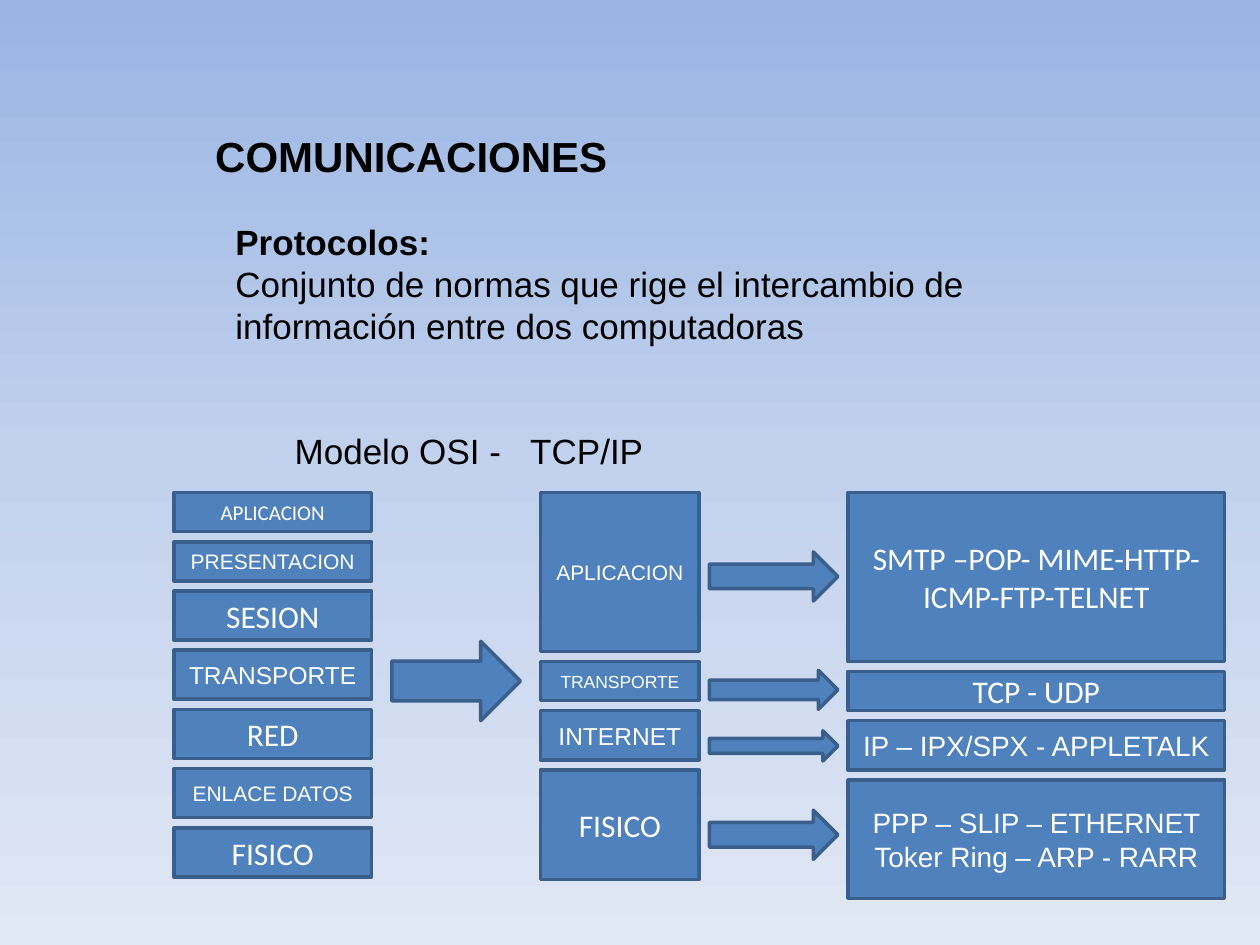
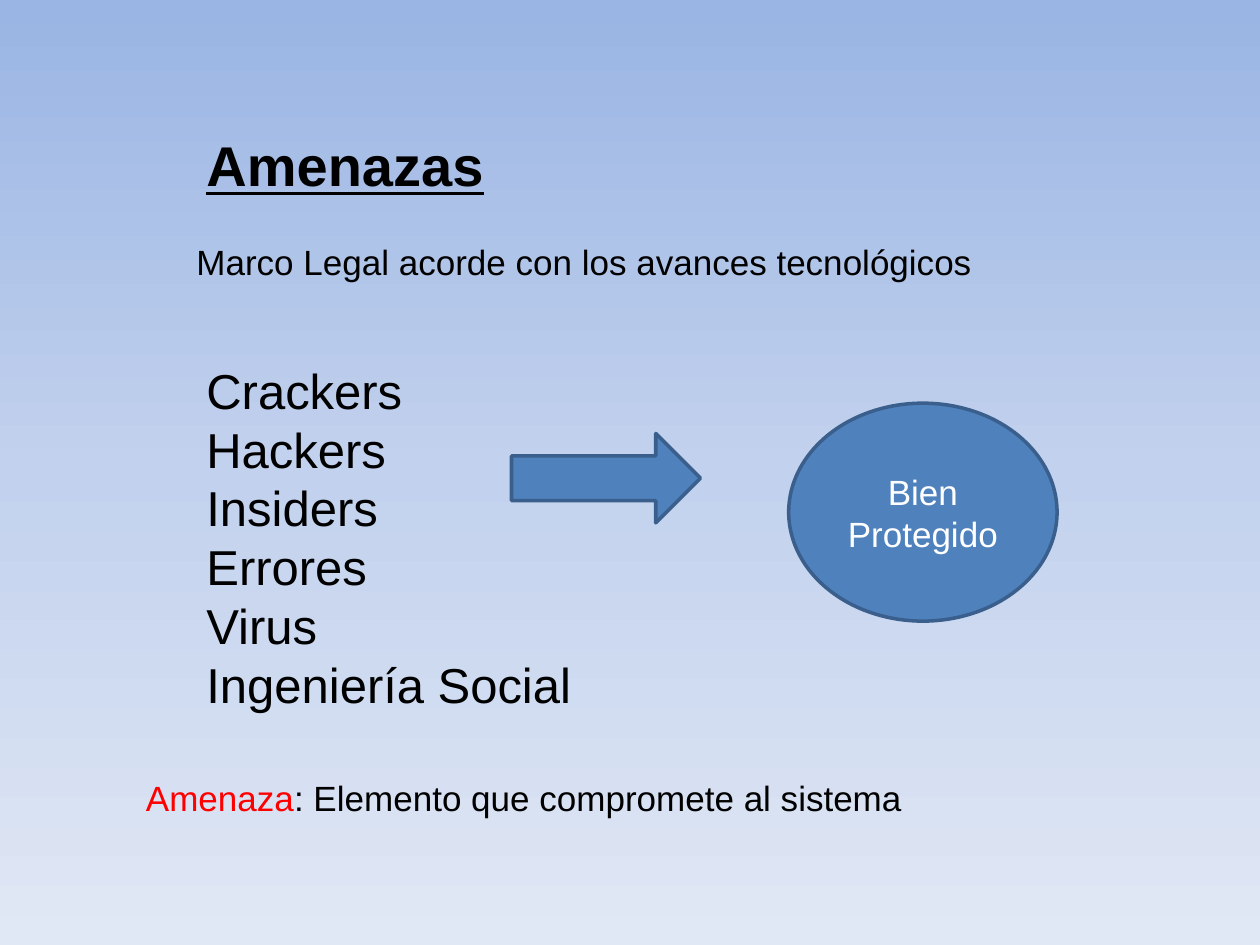
import copy
from dataclasses import dataclass

import pptx
import pptx.dml.color
import pptx.enum.shapes
import pptx.enum.text
import pptx.oxml
import pptx.oxml.ns
import pptx.util

Inches = pptx.util.Inches
Pt = pptx.util.Pt
RGB = pptx.dml.color.RGBColor.from_string
SHAPE = pptx.enum.shapes.MSO_SHAPE
ALIGN = pptx.enum.text.PP_ALIGN
ANCHOR = pptx.enum.text.MSO_ANCHOR


@dataclass(frozen=True)
class Theme:
    sky: tuple = ((0, "9AB5E4"), (0.5, "C2D1ED"), (1, "E1E8F5"))
    fill: str = "4F81BD"
    outline: str = "3A5F8C"
    ink: str = "000000"
    light: str = "FFFFFF"
    alert: str = "FF0000"
    sans: str = "Arial"
    alt: str = "Calibri"
    heading: int = 32
    title: int = 24
    items: int = 28
    body: int = 20
    label: int = 18
    protocol: int = 16
    medium: int = 14
    small: int = 12
    tiny: int = 10
    line: int = 2


T = Theme()
GAP = 0.08
STACK_TOP = 3.91


def new_slide(prs):
    s = prs.slides.add_slide(prs.slide_layouts[6])
    fill = s.background.fill
    fill.gradient()
    fill.gradient_angle = 270
    stops = fill.gradient_stops
    first = s.background._cSld.find(".//" + pptx.oxml.ns.qn("a:gs"))
    first.addnext(copy.deepcopy(first))
    stops = fill.gradient_stops
    for stop, (position, color) in zip(stops, T.sky):
        stop.position = position
        stop.color.rgb = RGB(color)
    return s


def add_run(p, text, size, color=T.ink, **font):
    r = p.add_run()
    r.text = text
    r.font.color.rgb = RGB(color)
    values = {"name": T.sans, "size": Pt(size), **font}
    for key, value in values.items():
        setattr(r.font, key, value)


def add_text(s, box, paragraphs, size):
    tf = s.shapes.add_textbox(*map(Inches, box)).text_frame
    tf.word_wrap = True
    for i, runs in enumerate(paragraphs):
        p = tf.paragraphs[0] if i == 0 else tf.add_paragraph()
        for text, font in runs:
            add_run(p, text, size, **font)
    return tf


def add_tab(p, position):
    tabs = pptx.oxml.parse_xml(
        f'<a:tabLst {pptx.oxml.ns.nsdecls("a")}>'
        f'<a:tab pos="{Inches(position)}" algn="l"/></a:tabLst>')
    p._p.get_or_add_pPr().append(tabs)


def add_figure(s, kind, box, text="", size=T.label, font=T.sans):
    sp = s.shapes.add_shape(kind, *map(Inches, box))
    sp.shadow.inherit = False
    sp.fill.solid()
    sp.fill.fore_color.rgb = RGB(T.fill)
    sp.line.color.rgb = RGB(T.outline)
    sp.line.width = Pt(T.line)
    if text:
        tf = sp.text_frame
        tf.word_wrap = True
        tf.vertical_anchor = ANCHOR.MIDDLE
        p = tf.paragraphs[0]
        p.alignment = ALIGN.CENTER
        add_run(p, text, size, T.light, name=font)


def add_stack(s, left, width, layers):
    top = STACK_TOP
    for text, height, size, font in layers:
        add_figure(s, SHAPE.RECTANGLE, (left, top, width, height), text, size, font)
        top += height + GAP


def communications(prs):
    s = new_slide(prs)
    add_text(s, (1.61, 0.99, 3.62, 0.5), [[("COMUNICACIONES", {"bold": True})]], T.title)
    add_text(s, (1.77, 1.7, 6.54, 2.42), [
        [("Protocolos:", {"bold": True})],
        [("Conjunto de normas que rige el intercambio de "
          "información entre dos computadoras", {})],
    ], T.body)
    tf = add_text(s, (2.24, 3.36, 5.43, 0.44), [[("Modelo OSI -\tTCP/IP", {})]], T.body)
    add_tab(tf.paragraphs[0], 1.87)

    osi = [
        ("APLICACION", 0.31, T.small, T.alt),
        ("PRESENTACION", 0.31, T.small, T.sans),
        ("SESION", 0.39, T.label, T.alt),
        ("TRANSPORTE", 0.39, T.medium, T.sans),
        ("RED", 0.39, T.label, T.alt),
        ("ENLACE DATOS", 0.39, T.small, T.sans),
        ("FISICO", 0.39, T.label, T.alt),
    ]
    tcp_ip = [
        ("APLICACION", 1.26, T.small, T.sans),
        ("TRANSPORTE", 0.31, T.tiny, T.sans),
        ("INTERNET", 0.39, T.medium, T.sans),
        ("FISICO", 0.87, T.label, T.alt),
    ]
    protocols = [
        ("SMTP –POP- MIME-HTTP-ICMP-FTP-TELNET", 1.34, T.label, T.alt),
        ("TCP - UDP", 0.31, T.label, T.alt),
        ("IP – IPX/SPX - APPLETALK", 0.39, T.protocol, T.sans),
        ("PPP – SLIP – ETHERNET Toker Ring – ARP - RARR", 0.94, T.protocol, T.sans),
    ]
    for left, width, layers in ((1.38, 1.57, osi), (4.29, 1.26, tcp_ip),
                                (6.73, 2.99, protocols)):
        add_stack(s, left, width, layers)

    arrows = ((3.11, 5.09, 0.63), (5.63, 4.38, 0.39), (5.63, 5.32, 0.31),
              (5.63, 5.8, 0.24), (5.63, 6.43, 0.39))
    for left, top, height in arrows:
        add_figure(s, SHAPE.RIGHT_ARROW, (left, top, 1.02, height))


def threats(prs):
    s = new_slide(prs)
    add_text(s, (1.54, 0.99, 2.83, 0.64),
             [[("Amenazas", {"bold": True, "underline": True})]], T.heading)
    add_text(s, (1.46, 1.86, 7.32, 0.44),
             [[("Marco Legal acorde con los avances tecnológicos", {})]], T.body)
    names = ("Crackers", "Hackers", "Insiders", "Errores", "Virus", "Ingeniería Social")
    add_text(s, (1.54, 2.81, 5.04, 2.93), [[(name, {})] for name in names], T.items)
    add_figure(s, SHAPE.RIGHT_ARROW, (4.06, 3.44, 1.5, 0.71))
    add_figure(s, SHAPE.OVAL, (6.26, 3.2, 2.13, 1.73), "Bien Protegido", T.body)
    add_text(s, (1.06, 6.11, 6.46, 0.44), [[
        ("Amenaza", {"color": T.alert}),
        (": Elemento que compromete al sistema", {}),
    ]], T.body)


def main():
    prs = pptx.Presentation()
    prs.slide_width = Inches(10)
    prs.slide_height = Inches(7.5)
    communications(prs)
    threats(prs)
    prs.save("out.pptx")


main()
